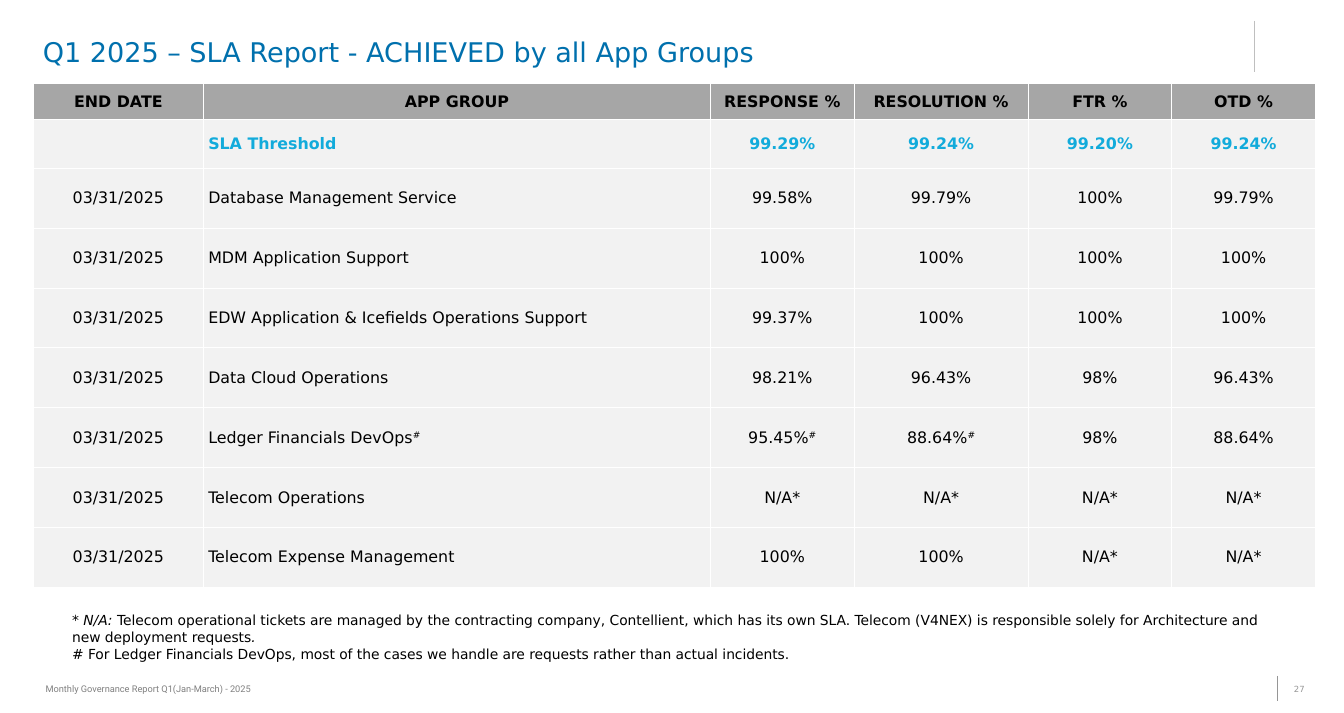
"""Build the Q1 2025 SLA report slide."""
import pptx
import pptx.util
import pptx.dml.color
import pptx.enum.shapes
import pptx.enum.text
import pptx.oxml
import pptx.oxml.ns

Inches = pptx.util.Inches
ALIGN = pptx.enum.text.PP_ALIGN
ANCHOR = pptx.enum.text.MSO_ANCHOR

COLOURS = {
    "title": "0070AD", "text": "000000", "threshold": "12ABDB",
    "header": "A6A6A6", "body": "F2F2F2", "border": "FFFFFF",
    "footer": "808080", "number": "969696", "top rule": "BFBFBF",
}
MAIN_FONT = "DejaVu Sans"
TITLE = "Q1 2025 – SLA Report - ACHIEVED by all App Groups"
FOOTER = "Monthly Governance Report Q1(Jan-March) - 2025"
PAGE_NUMBER = "27"
END_DATE = "03/31/2025"
HEADERS = ["END DATE", "APP GROUP", "RESPONSE %", "RESOLUTION %", "FTR %", "OTD %"]
THRESHOLDS = ["", "SLA Threshold", "99.29%", "99.24%", "99.20%", "99.24%"]
GROUPS = [
    ["Database Management Service", "99.58%", "99.79%", "100%", "99.79%"],
    ["MDM Application Support", "100%", "100%", "100%", "100%"],
    ["EDW Application & Icefields Operations Support", "99.37%", "100%", "100%", "100%"],
    ["Data Cloud Operations", "98.21%", "96.43%", "98%", "96.43%"],
    ["Ledger Financials DevOps#", "95.45%#", "88.64%#", "98%", "88.64%"],
    ["Telecom Operations", "N/A*", "N/A*", "N/A*", "N/A*"],
    ["Telecom Expense Management", "100%", "100%", "N/A*", "N/A*"],
]
COLUMN_WIDTHS = [1.79, 5.33, 1.51, 1.83, 1.51, 1.51]
ROW_HEIGHTS = [0.38, 0.51] + [0.63] * len(GROUPS)
NOTES = [
    [("* N/A: ", True),
     ("Telecom operational tickets are managed by the contracting company, "
      "Contellient, which has its own SLA. Telecom (V4NEX) is responsible solely "
      "for Architecture and new deployment requests", False),
     (".", True)],
    [("# ", True),
     ("For Ledger Financials DevOps, most of the cases we handle are requests "
      "rather than actual incidents.", False)],
]
RULES = [
    (13.43, 7.11, 7.37, "number", 0.75),
    (13.19, 0.22, 0.76, "top rule", 1),
]


def rgb(name):
    return pptx.dml.color.RGBColor.from_string(COLOURS[name])


def style(span, size, colour, font=MAIN_FONT, bold=False, italic=False):
    span.font.size = pptx.util.Pt(size)
    span.font.name = font
    span.font.color.rgb = rgb(colour)
    span.font.bold = bold
    span.font.italic = italic


def add_box(slide, left, top, width, height, anchor=ANCHOR.TOP):
    box = slide.shapes.add_textbox(*map(Inches, (left, top, width, height)))
    box.text_frame.word_wrap = True
    box.text_frame.vertical_anchor = anchor
    return box.text_frame


def add_title(slide):
    title = slide.shapes.title
    title.left, title.top, title.width, title.height = map(Inches, (0.35, 0.36, 11.97, 0.78))
    frame = title.text_frame
    frame.text = TITLE
    frame.auto_size = pptx.enum.text.MSO_AUTO_SIZE.NONE
    frame.vertical_anchor = ANCHOR.TOP
    para = frame.paragraphs[0]
    para.alignment = ALIGN.LEFT
    para.line_spacing = 0.9
    style(para.runs[0], 20.5, "title")


def add_rules(slide):
    for x, top, bottom, colour, width in RULES:
        rule = slide.shapes.add_connector(
            pptx.enum.shapes.MSO_CONNECTOR.STRAIGHT,
            Inches(x), Inches(top), Inches(x), Inches(bottom))
        rule.line.color.rgb = rgb(colour)
        rule.line.width = pptx.util.Pt(width)
        rule._element.spPr.append(pptx.oxml.parse_xml(
            f"<a:effectLst {pptx.oxml.ns.nsdecls('a')}/>"))


def add_borders(cell):
    properties = cell._tc.get_or_add_tcPr()
    for side in ("lnL", "lnR", "lnT", "lnB"):
        properties.append(pptx.oxml.parse_xml(
            f"<a:{side} {pptx.oxml.ns.nsdecls('a')} w='9525'><a:solidFill>"
            f"<a:srgbClr val='{COLOURS['border']}'/></a:solidFill></a:{side}>"))


def fill_cell(cell, text, row, column):
    add_borders(cell)
    cell.fill.solid()
    cell.fill.fore_color.rgb = rgb("header" if row == 0 else "body")
    cell.vertical_anchor = ANCHOR.MIDDLE
    cell.margin_left = cell.margin_right = Inches(0.05)
    cell.margin_top = cell.margin_bottom = Inches(0.09)
    para = cell.text_frame.paragraphs[0]
    para.alignment = ALIGN.LEFT if column == 1 and row > 0 else ALIGN.CENTER
    value, mark, _ = text.partition("#")
    for part in filter(None, (value, mark)):
        span = para.add_run()
        span.text = part
        style(span, 12, "threshold" if row == 1 else "text", bold=row < 2)
        if part == "#":
            span.font._element.set("baseline", "30000")


def add_sla_table(slide):
    rows = [HEADERS, THRESHOLDS] + [[END_DATE] + group for group in GROUPS]
    table = slide.shapes.add_table(
        len(rows), len(HEADERS), Inches(0.35), Inches(0.88),
        Inches(sum(COLUMN_WIDTHS)), Inches(sum(ROW_HEIGHTS))).table
    for column, width in zip(table.columns, COLUMN_WIDTHS):
        column.width = Inches(width)
    for row, height in zip(table.rows, ROW_HEIGHTS):
        row.height = Inches(height)
    for row, values in enumerate(rows):
        for column, text in enumerate(values):
            fill_cell(table.cell(row, column), text, row, column)


def add_notes_box(slide):
    frame = add_box(slide, 0.66, 6.39, 12.82, 0.63)
    for index, parts in enumerate(NOTES):
        para = frame.add_paragraph() if index else frame.paragraphs[0]
        for text, italic in parts:
            span = para.add_run()
            span.text = text
            style(span, 10.5, "text", italic=italic)


def add_footer(slide):
    frame = add_box(slide, 0.48, 7.13, 3.22, 0.24, ANCHOR.MIDDLE)
    frame.margin_left = frame.margin_right = frame.margin_top = frame.margin_bottom = 0
    frame.text = FOOTER
    style(frame.paragraphs[0].runs[0], 7, "footer", font="Roboto")
    frame = add_box(slide, 13.31, 7.12, 0.7, 0.27, ANCHOR.MIDDLE)
    frame.text = PAGE_NUMBER
    para = frame.paragraphs[0]
    para.alignment = ALIGN.CENTER
    para.line_spacing = 0.85
    style(para.runs[0], 6.4, "number")


def main():
    deck = pptx.Presentation()
    deck.slide_width, deck.slide_height = Inches(14.13), Inches(7.5)
    slide = deck.slides.add_slide(deck.slide_layouts[5])
    add_rules(slide)
    add_title(slide)
    add_sla_table(slide)
    add_notes_box(slide)
    add_footer(slide)
    deck.save("out.pptx")


if __name__ == "__main__":
    main()
